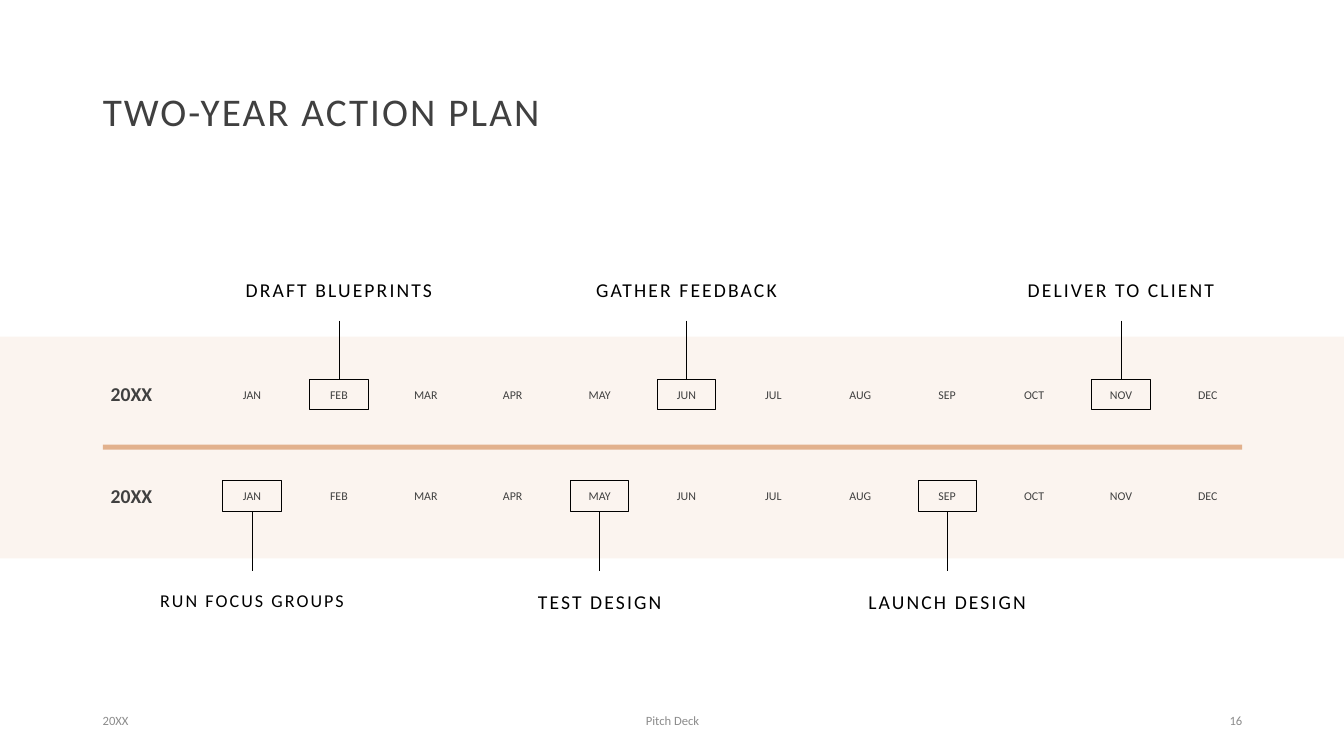
import pptx
import pptx.dml.color
import pptx.enum.shapes
import pptx.enum.text
import pptx.oxml.ns
import pptx.util
from lxml import etree

Inches = pptx.util.Inches
RGBColor = pptx.dml.color.RGBColor
ALIGN = pptx.enum.text.PP_ALIGN
ANCHOR = pptx.enum.text.MSO_ANCHOR

FONT = "Calibri"
BLACK = RGBColor(0x00, 0x00, 0x00)
CHARCOAL = RGBColor(0x40, 0x40, 0x40)
GRAY = RGBColor(0x8C, 0x8C, 0x8C)
CREAM = RGBColor(0xFB, 0xF4, 0xEF)
TAN = RGBColor(0xE2, 0xB1, 0x8D)

MONTHS = ["JAN", "FEB", "MAR", "APR", "MAY", "JUN",
          "JUL", "AUG", "SEP", "OCT", "NOV", "DEC"]
FIRST_YEAR = {"FEB": ("DRAFT BLUEPRINTS", 14), "JUN": ("GATHER FEEDBACK", 14),
              "NOV": ("DELIVER TO CLIENT", 14)}
SECOND_YEAR = {"JAN": ("RUN FOCUS GROUPS", 12.9), "MAY": ("TEST DESIGN", 14),
               "SEP": ("LAUNCH DESIGN", 14)}


def write_text(shape, text, size, color, align=ALIGN.LEFT, anchor=ANCHOR.TOP,
               line_spacing=1.0, bold=False, tracking=0):
    """Fill a shape with one formatted paragraph."""
    frame = shape.text_frame
    frame.text = text
    frame.word_wrap = True
    frame.auto_size = pptx.enum.text.MSO_AUTO_SIZE.NONE
    frame.vertical_anchor = anchor
    paragraph = frame.paragraphs[0]
    paragraph.alignment = align
    paragraph.line_spacing = line_spacing
    font = paragraph.runs[0].font
    font.name = FONT
    font.size = pptx.util.Pt(size)
    font.bold = bold
    font.color.rgb = color
    if tracking:
        paragraph.runs[0]._r.get_or_add_rPr().set("spc", str(int(tracking * 100)))


def add_text(slide, left, top, width, height, text, size, color, **options):
    """Add a text box measured in inches."""
    box = slide.shapes.add_textbox(Inches(left), Inches(top), Inches(width), Inches(height))
    write_text(box, text, size, color, **options)


def add_rectangle(slide, left, top, width, height, fill=None, line=None):
    """Add a rectangle with an optional fill and an optional thin outline."""
    shape = slide.shapes.add_shape(
        pptx.enum.shapes.MSO_SHAPE.RECTANGLE,
        Inches(left), Inches(top), Inches(width), Inches(height))
    shape.shadow.inherit = False
    if fill is None:
        shape.fill.background()
    else:
        shape.fill.solid()
        shape.fill.fore_color.rgb = fill
    if line is None:
        shape.line.fill.background()
    else:
        shape.line.color.rgb = line
        shape.line.width = pptx.util.Pt(0.5)


def add_stem(slide, x, top, bottom):
    """Add a thin vertical line joining a month to its milestone."""
    stem = slide.shapes.add_connector(
        pptx.enum.shapes.MSO_CONNECTOR.STRAIGHT,
        Inches(x), Inches(top), Inches(x), Inches(bottom))
    stem.line.color.rgb = BLACK
    stem.line.width = pptx.util.Pt(0.5)
    etree.SubElement(stem._element.spPr, pptx.oxml.ns.qn("a:effectLst"))


def add_title(slide, left, top, width, height):
    """Place and format the title placeholder."""
    title = slide.shapes.title
    title.left, title.top = Inches(left), Inches(top)
    title.width, title.height = Inches(width), Inches(height)
    write_text(title, "TWO-YEAR ACTION PLAN", 28, CHARCOAL, anchor=ANCHOR.MIDDLE,
               line_spacing=0.9, tracking=1.5)


def add_band(slide, left, top, width, height):
    """Draw the tinted band and the rule that divides the two years."""
    add_rectangle(slide, left, top, width, height, fill=CREAM)
    add_rectangle(slide, left + 1.02, top + 1.07, width - 2.03, 0.05, fill=TAN)


def add_milestone(slide, center, top, label, size, above):
    """Box a month and tie it to its label above or below."""
    marker_width, marker_height, label_width, label_height = 0.58, 0.3, 2.25, 0.61
    add_rectangle(slide, center - marker_width / 2, top, marker_width, marker_height, line=BLACK)
    bottom = top + marker_height
    if above:
        add_stem(slide, center, top - 0.58, top)
        label_top, anchor = top - 1.33, ANCHOR.BOTTOM
    else:
        add_stem(slide, center, bottom, bottom + 0.59)
        label_top, anchor = bottom + 0.62, ANCHOR.TOP
    add_text(slide, center - label_width / 2, label_top, label_width, label_height,
             label, size, BLACK, align=ALIGN.CENTER, anchor=anchor,
             line_spacing=1.5, tracking=1.5)


def add_year(slide, left, top, width, height, milestones, above):
    """Lay out one year: its name, twelve months and milestones."""
    name_width, month_width, gutter = 0.8, 0.7, 0.35
    add_text(slide, left, top, name_width, height, "20XX", 14, CHARCOAL,
             anchor=ANCHOR.MIDDLE, line_spacing=0.9, bold=True)
    months_left = left + name_width + gutter
    pitch = (left + width - month_width - months_left) / (len(MONTHS) - 1)
    for index, month in enumerate(MONTHS):
        month_left = months_left + index * pitch
        add_text(slide, month_left, top + 0.16, month_width, 0.22, month, 8.5,
                 CHARCOAL, align=ALIGN.CENTER, line_spacing=0.7)
        if month in milestones:
            label, size = milestones[month]
            add_milestone(slide, month_left + month_width / 2, top + 0.09,
                          label, size, above)


def add_footer(slide, left, top, width, height):
    """Place the date, deck name and slide number along the bottom."""
    side, middle = 3, 4.5
    parts = [(left, side, "20XX", ALIGN.LEFT),
             (left + (width - middle) / 2, middle, "Pitch Deck", ALIGN.CENTER),
             (left + width - side, side, "16", ALIGN.RIGHT)]
    for part_left, part_width, text, align in parts:
        add_text(slide, part_left, top, part_width, height, text, 9, GRAY,
                 align=align, anchor=ANCHOR.MIDDLE)


def main():
    """Build the action plan slide and save it."""
    presentation = pptx.Presentation()
    presentation.slide_width = Inches(13.33)
    presentation.slide_height = Inches(7.5)
    slide = presentation.slides.add_slide(presentation.slide_layouts[5])
    add_band(slide, 0, 3.34, 13.33, 2.2)
    add_title(slide, 0.92, 0.4, 11.5, 1.45)
    add_year(slide, 1, 3.67, 11.33, 0.5, FIRST_YEAR, above=True)
    add_year(slide, 1, 4.68, 11.33, 0.5, SECOND_YEAR, above=False)
    add_footer(slide, 0.92, 6.95, 11.5, 0.4)
    presentation.save("out.pptx")


main()
